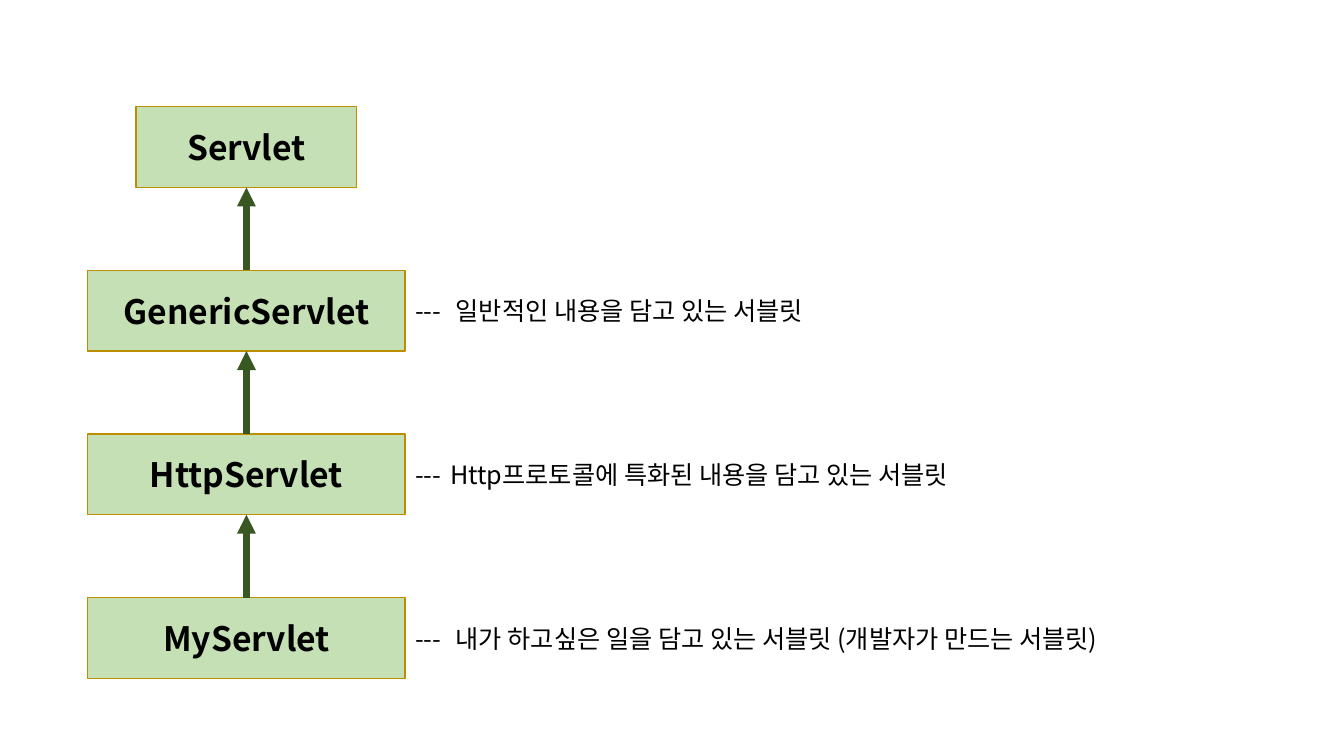
from dataclasses import dataclass

from lxml import etree
from pptx import Presentation
from pptx.dml.color import RGBColor
from pptx.enum.shapes import MSO_CONNECTOR, MSO_SHAPE
from pptx.enum.text import MSO_ANCHOR, MSO_AUTO_SIZE, PP_ALIGN
from pptx.oxml.ns import qn
from pptx.shapes.autoshape import Shape
from pptx.shapes.connector import Connector
from pptx.slide import Slide
from pptx.text.text import TextFrame
from pptx.util import Pt

RECT = MSO_SHAPE.RECTANGLE
STRAIGHT = MSO_CONNECTOR.STRAIGHT
MIDDLE = MSO_ANCHOR.MIDDLE
LEFT, CENTER = PP_ALIGN.LEFT, PP_ALIGN.CENTER
GROW = MSO_AUTO_SIZE.SHAPE_TO_FIT_TEXT
TOP_SIDE, BOTTOM_SIDE = 0, 2


@dataclass(frozen=True)
class Theme:
    font: str = "Noto Sans CJK KR"
    fill: RGBColor = RGBColor(0xC5, 0xE0, 0xB4)
    edge: RGBColor = RGBColor(0xBD, 0x8E, 0x00)
    arrow: RGBColor = RGBColor(0x38, 0x57, 0x23)
    ink: RGBColor = RGBColor(0, 0, 0)
    name_size: float = 24
    note_size: float = 18
    edge_width: float = 1
    arrow_width: float = 4.5


@dataclass(frozen=True)
class Level:
    name: str
    width: float = 226.8
    note: str = ""
    note_width: float = 0
    tab: float = 29


THEME = Theme()
LEVELS = [
    Level("Servlet", width=157.68),
    Level("GenericServlet", note="일반적인 내용을 담고 있는 서블릿", note_width=329.76),
    Level("HttpServlet", note="Http프로토콜에 특화된 내용을 담고 있는 서블릿",
          note_width=445.68, tab=25),
    Level("MyServlet", note="내가 하고싶은 일을 담고 있는 서블릿 (개발자가 만드는 서블릿)",
          note_width=566.64),
]
AXIS = 176.04
TOP = 76.32
PITCH = 116.88
BOX_HEIGHT = 57.6
NOTE_HEIGHT = 28.8


def write(frame: TextFrame, text: str, *, size: float, bold: bool = False,
          align: PP_ALIGN = LEFT, tab: float = 0) -> None:
    para = frame.paragraphs[0]
    para.alignment = align
    run = para.add_run()
    run.text = text
    font = run.font
    font.size = Pt(size)
    font.bold = bold
    font.color.rgb = THEME.ink
    font.name = THEME.font
    latin = run._r.get_or_add_rPr().find(qn("a:latin"))
    latin.addnext(latin.makeelement(qn("a:ea"), {"typeface": THEME.font}))
    if tab:
        tabs = etree.SubElement(para._p.get_or_add_pPr(), qn("a:tabLst"))
        etree.SubElement(tabs, qn("a:tab"), pos=str(Pt(tab)), algn="l")


def add_box(slide: Slide, level: Level, top: float) -> Shape:
    box = slide.shapes.add_shape(RECT, Pt(AXIS - level.width / 2), Pt(top),
                                 Pt(level.width), Pt(BOX_HEIGHT))
    box.shadow.inherit = False
    box.fill.solid()
    box.fill.fore_color.rgb = THEME.fill
    box.line.color.rgb = THEME.edge
    box.line.width = Pt(THEME.edge_width)
    box.text_frame.vertical_anchor = MIDDLE
    write(box.text_frame, level.name, size=THEME.name_size, bold=True, align=CENTER)
    return box


def add_note(slide: Slide, level: Level, top: float) -> None:
    note = slide.shapes.add_textbox(
        Pt(AXIS + level.width / 2), Pt(top + (BOX_HEIGHT - NOTE_HEIGHT) / 2),
        Pt(level.note_width), Pt(NOTE_HEIGHT))
    frame = note.text_frame
    frame.word_wrap = False
    frame.auto_size = GROW
    write(frame, f"---\t{level.note}", size=THEME.note_size, tab=level.tab)


def add_arrow(slide: Slide, child: Shape, parent: Shape) -> Connector:
    arrow = slide.shapes.add_connector(STRAIGHT, 0, 0, 0, 0)
    arrow.begin_connect(child, TOP_SIDE)
    arrow.end_connect(parent, BOTTOM_SIDE)
    arrow.line.color.rgb = THEME.arrow
    arrow.line.width = Pt(THEME.arrow_width)
    etree.SubElement(arrow.line._get_or_add_ln(), qn("a:tailEnd"), type="triangle")
    etree.SubElement(arrow._element.spPr, qn("a:effectLst"))
    return arrow


def main() -> None:
    deck = Presentation()
    deck.slide_width, deck.slide_height = Pt(960), Pt(540)
    slide = deck.slides.add_slide(deck.slide_layouts[6])
    boxes = []
    for row, level in enumerate(LEVELS):
        top = TOP + row * PITCH
        boxes.append(add_box(slide, level, top))
        if level.note:
            add_note(slide, level, top)
    for parent, child in zip(boxes, boxes[1:]):
        add_arrow(slide, child, parent)
    deck.save("out.pptx")


if __name__ == "__main__":
    main()
